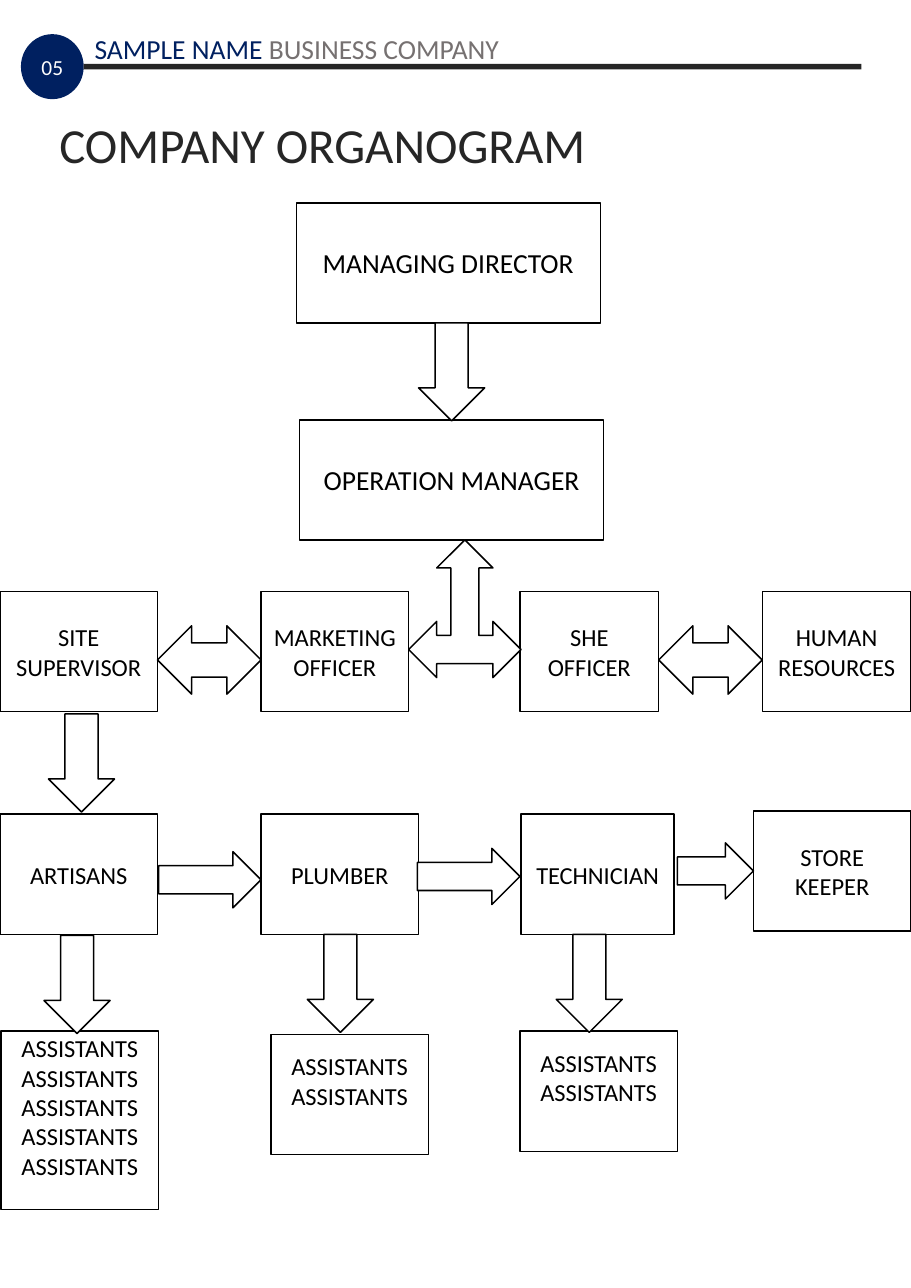
from pptx import Presentation
from pptx.dml.color import RGBColor
from pptx.enum.shapes import MSO_SHAPE as Shape
from pptx.enum.text import MSO_ANCHOR as Anchor, PP_ALIGN as Align
from pptx.util import Inches, Pt

COLORS = {"white": "FFFFFF", "black": "000000", "navy": "002060",
          "charcoal": "262626", "gray": "767171"}
FONT = "Calibri"
PAGE_W, PAGE_H = 8.27, 11.69
BOX_H = 1.09
DOWN_W, DOWN_H = 0.6, 0.89
RIGHT_H = 0.51


def rgb(name):
    return RGBColor.from_string(COLORS[name])


def write(frame, text, size=16, colors=("black",), align=Align.CENTER,
          anchor=Anchor.MIDDLE, top=0.05, bottom=0.05):
    """Lines split at newlines; '|' separates runs, one colour each."""
    frame.word_wrap = True
    frame.vertical_anchor = anchor
    frame.margin_top, frame.margin_bottom = Inches(top), Inches(bottom)
    for i, line in enumerate(text.split("\n")):
        paragraph = frame.paragraphs[0] if i == 0 else frame.add_paragraph()
        paragraph.alignment = align
        for part, color in zip(line.split("|"), colors):
            run = paragraph.add_run()
            run.text = part
            run.font.name, run.font.size = FONT, Pt(size)
            run.font.color.rgb = rgb(color)


def draw(slide, kind, x, y, w, h, fill="white", line="black"):
    shape = slide.shapes.add_shape(kind, Inches(x), Inches(y), Inches(w), Inches(h))
    shape.shadow.inherit = False
    shape.fill.solid()
    shape.fill.fore_color.rgb = rgb(fill)
    if line:
        shape.line.color.rgb = rgb(line)
        shape.line.width = Pt(1)
    else:
        shape.line.fill.background()
    return shape


def label(slide, text, x, y, w, h, **style):
    box = slide.shapes.add_textbox(Inches(x), Inches(y), Inches(w), Inches(h))
    write(box.text_frame, text, align=Align.LEFT, anchor=Anchor.TOP, **style)


def post(slide, text, x, y, w, h=BOX_H, **style):
    write(draw(slide, Shape.RECTANGLE, x, y, w, h).text_frame, text, **style)


def down_arrow(slide, x, y):
    draw(slide, Shape.DOWN_ARROW, x, y, DOWN_W, DOWN_H)


def header(slide, x, y, w):
    # Page number, rule and company name
    badge_w, badge_h = 0.57, 0.59
    badge = draw(slide, Shape.OVAL, x, y + 0.07, badge_w, badge_h, "navy", None)
    write(badge.text_frame, "05", size=14, colors=("white",))
    rule_x = x + badge_w
    draw(slide, Shape.RECTANGLE, rule_x, y + 0.34, w - badge_w, 0.05, "charcoal", None)
    label(slide, "SAMPLE NAME |BUSINESS COMPANY", rule_x, y, 6.47, 0.4,
          size=18, colors=("navy", "gray"))


def management(slide, x, y, w):
    # Director above operation manager
    manager_y = y + BOX_H + DOWN_H - 0.01
    post(slide, "MANAGING DIRECTOR", x, y, w, size=18)
    post(slide, "OPERATION MANAGER", x + 0.03, manager_y, w, size=18)
    down_arrow(slide, x + 1.11, y + BOX_H)


def officers(slide, x, y, w):
    # Four officers joined by two-way arrows
    row = [("SITE\nSUPERVISOR", 0, 1.43), ("MARKETING\nOFFICER", 2.37, 1.34),
           ("SHE OFFICER", 4.72, 1.26), ("HUMAN\nRESOURCES", w - 1.35, 1.35)]
    for text, dx, width in row:
        post(slide, text, x + dx, y, width)
    gaps = [(dx + width, following[1] - dx - width)
            for (_, dx, width), following in zip(row, row[1:])]
    for dx, gap in (gaps[0], gaps[2]):
        draw(slide, Shape.LEFT_RIGHT_ARROW, x + dx, y + 0.31, gap, 0.62)
    dx, gap = gaps[1]
    draw(slide, Shape.LEFT_RIGHT_UP_ARROW, x + dx, y - 0.47, gap + 0.01, 1.25)
    down_arrow(slide, x + 0.44, y + BOX_H + 0.02)


def trades(slide, x, y, w):
    # Four trades in sequence
    for text, dx, dy, width in [("ARTISANS", 0, 0, 1.43), ("PLUMBER", 2.37, 0, 1.43),
                                ("TECHNICIAN", 4.73, 0, 1.39),
                                ("STORE\nKEEPER", w - 1.43, -0.03, 1.43)]:
        post(slide, text, x + dx, y + dy, width)
    for dx, dy, width in [(1.44, 0.34, 0.93), (3.79, 0.31, 0.93), (6.15, 0.26, 0.69)]:
        draw(slide, Shape.RIGHT_ARROW, x + dx, y + dy, width, RIGHT_H)


def assistants(slide, x, y):
    # Assistants under each trade, with the arrows leading to them
    for dx, dy, height, count, arrow_dx, arrow_dy in [
            (0.01, 0, 1.62, 5, 0.4, 0.01),
            (2.46, 0.03, BOX_H, 2, 2.79, 0),
            (4.72, 0, BOX_H, 2, 5.05, 0)]:
        post(slide, "\n".join(["ASSISTANTS"] * count), x + dx, y + dy, 1.43, height,
             top=0, bottom=0.25)
        down_arrow(slide, x + arrow_dx, y - 0.88 + arrow_dy)


def main():
    deck = Presentation()
    deck.slide_width, deck.slide_height = Inches(PAGE_W), Inches(PAGE_H)
    slide = deck.slides.add_slide(deck.slide_layouts[6])
    header(slide, 0.19, 0.24, 7.63)
    label(slide, "COMPANY ORGANOGRAM", 0.44, 0.99, 6.48, 0.64,
          size=32, colors=("charcoal",))
    management(slide, 2.69, 1.84, 2.76)
    officers(slide, 0, 5.37, PAGE_W)
    trades(slide, 0, 7.39, PAGE_W)
    assistants(slide, 0, 9.36)
    deck.save("out.pptx")


if __name__ == "__main__":
    main()
